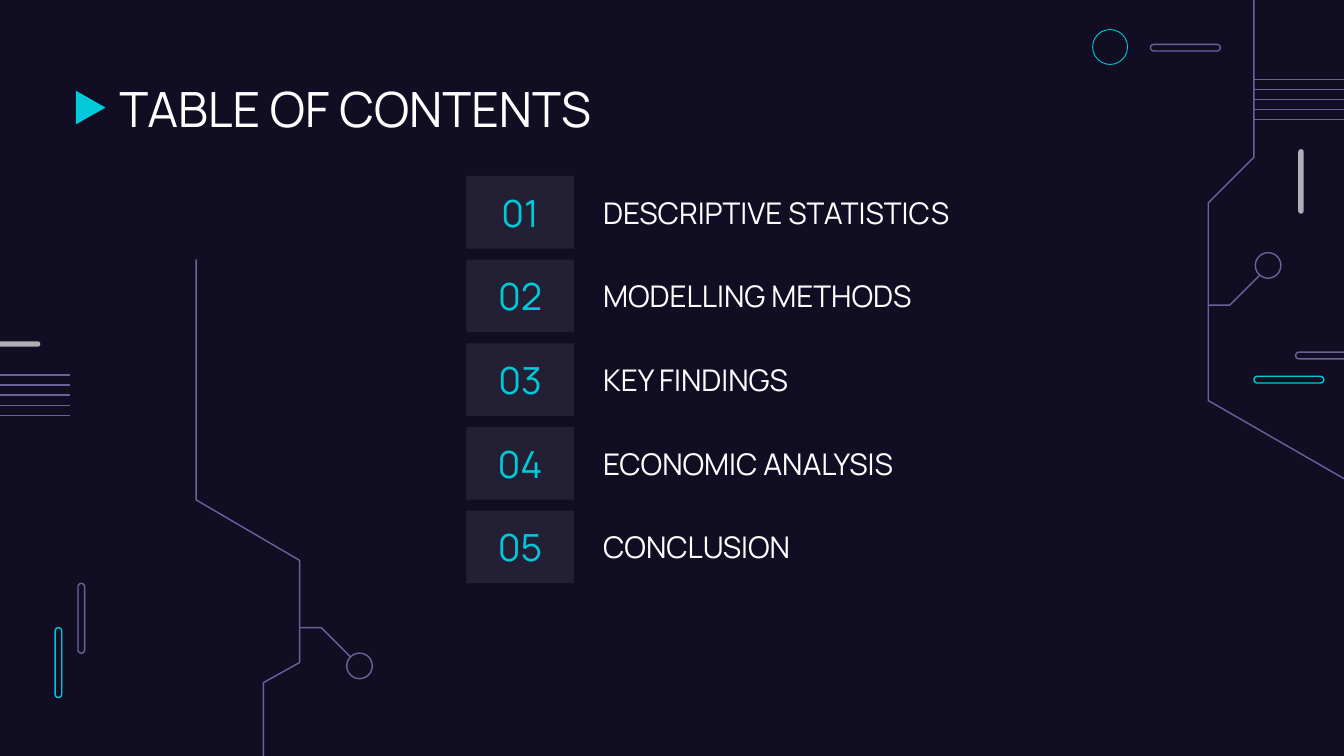
import collections
import dataclasses

import lxml.etree
import pptx
import pptx.dml.color
import pptx.enum.shapes
import pptx.enum.text
import pptx.oxml.ns
import pptx.util

Inches = pptx.util.Inches
Shapes = pptx.enum.shapes.MSO_SHAPE
Box = collections.namedtuple("Box", "left top width height")


@dataclasses.dataclass(frozen=True)
class Theme:
    """Colours, font and sizes of the deck."""
    background: str = "110E24"
    accent: str = "00CADA"
    trace: str = "69639C"
    grey: str = "AFAFB6"
    white: str = "FFFFFF"
    font: str = "Manrope"
    title_size: int = 26
    number_size: int = 20
    topic_size: int = 16
    line_width: float = 0.75
    ring_width: float = 0.47
    tile_opacity: int = 8


THEME = Theme()
TOPICS = ["DESCRIPTIVE STATISTICS", "MODELLING METHODS", "KEY FINDINGS",
          "ECONOMIC ANALYSIS", "CONCLUSION"]


def rgb(colour):
    """Turn a hex string into a colour."""
    return pptx.dml.color.RGBColor.from_string(colour)


def style_shape(shape, fill=None, line=None, width=THEME.line_width):
    """Set fill and outline of a shape and remove its shadow."""
    shape.shadow.inherit = False
    if fill:
        shape.fill.solid()
        shape.fill.fore_color.rgb = rgb(fill)
    else:
        shape.fill.background()
    if line:
        shape.line.color.rgb = rgb(line)
        shape.line.width = pptx.util.Pt(width)
    else:
        shape.line.fill.background()


def add_shape(page, kind, box, **style):
    """Add a styled preset shape."""
    shape = page.shapes.add_shape(kind, *map(Inches, box))
    style_shape(shape, **style)
    return shape


def add_pill(page, box, **style):
    """Add a bar with fully rounded ends."""
    pill = add_shape(page, Shapes.ROUNDED_RECTANGLE, box, **style)
    pill.adjustments[0] = 0.5


def add_trace(page, left, top, points):
    """Add an open outline through points relative to a corner."""
    path_points = [(Inches(left + x), Inches(top + y)) for x, y in points]
    builder = page.shapes.build_freeform(*path_points[0])
    builder.add_line_segments(path_points[1:], close=False)
    style_shape(builder.convert_to_shape(), line=THEME.trace)


def add_branch(page, left, top, direction):
    """Add a side trace ending in a ring, going down (1) or up (-1)."""
    add_trace(page, left, top, [(0, 0), (0.16, 0), (0.38, 0.22 * direction)])
    ring = Box(left + 0.35, top + 0.29 * direction - 0.1, 0.19, 0.19)
    add_shape(page, Shapes.OVAL, ring, line=THEME.trace)


def add_stripes(page, box, count=5):
    """Add evenly spaced horizontal lines filling a box."""
    for index in range(count):
        y = Inches(box.top + index * box.height / (count - 1))
        stripe = page.shapes.add_connector(
            pptx.enum.shapes.MSO_CONNECTOR.STRAIGHT,
            Inches(box.left), y, Inches(box.left + box.width), y)
        stripe.line.color.rgb = rgb(THEME.trace)
        stripe.line.width = pptx.util.Pt(THEME.line_width)
        lxml.etree.SubElement(stripe._element.spPr, pptx.oxml.ns.qn("a:effectLst"))


def set_text(shape, text, size, colour, align="LEFT", anchor="MIDDLE"):
    """Write one formatted paragraph in a shape."""
    frame = shape.text_frame
    frame.text = text
    frame.word_wrap = True
    frame.vertical_anchor = pptx.enum.text.MSO_ANCHOR[anchor]
    frame.margin_left = frame.margin_right = Inches(0.1)
    frame.margin_top = frame.margin_bottom = Inches(0.1)
    para = frame.paragraphs[0]
    para.alignment = pptx.enum.text.PP_ALIGN[align]
    span = para.runs[0]
    span.font.name = THEME.font
    span.font.size = pptx.util.Pt(size)
    span.font.color.rgb = rgb(colour)


def add_right_decoration(page, box):
    """Draw the circuit and its bars on the right side."""
    left, top = box.left, box.top
    add_trace(page, left, top, [(1.13, 3.63), (0, 2.98), (0, 1.51),
                                (0.34, 1.17), (0.34, -0.06)])
    add_branch(page, left, top + 2.27, -1)
    add_stripes(page, Box(left + 0.34, top + 0.59, 1.47, 0.3))
    ring = Box(left - 0.86, top + 0.22, 0.26, 0.26)
    add_shape(page, Shapes.OVAL, ring, line=THEME.accent, width=THEME.ring_width)
    for x, y, colour in [(-0.43, 0.33, THEME.trace), (0.65, 2.62, THEME.trace),
                         (0.34, 2.8, THEME.accent)]:
        add_pill(page, Box(left + x, top + y, 0.52, 0.05), line=colour)
    add_pill(page, Box(left + 0.67, top + 1.11, 0.04, 0.48), fill=THEME.grey)


def add_left_decoration(page, box):
    """Draw the circuit and its bars on the left side."""
    left, top = box.left, box.top
    add_pill(page, Box(left - 0.18, top + 0.61, 0.48, 0.04), fill=THEME.grey)
    add_stripes(page, Box(left - 0.61, top + 0.86, 1.13, 0.3))
    for x, y, colour in [(0.41, 2.74, THEME.accent), (0.58, 2.41, THEME.trace)]:
        add_pill(page, Box(left + x, top + y, 0.05, 0.52), line=colour)
    add_trace(page, left, top, [(1.46, 0), (1.46, 1.79), (2.23, 2.24),
                                (2.23, 3), (1.96, 3.15), (1.96, 3.78)])
    add_branch(page, left + 2.23, top + 2.74, 1)


def add_title(page, box, text):
    """Place the arrow marker and the title."""
    marker = add_shape(page, Shapes.FLOWCHART_MERGE,
                       Box(box.left, box.top + 0.2, 0.25, 0.22), fill=THEME.accent)
    marker.rotation = 270
    title = page.shapes.add_textbox(
        *map(Inches, (box.left + 0.24, box.top, box.width - 0.24, box.height)))
    set_text(title, text, THEME.title_size, THEME.white, anchor="TOP")


def add_contents(page, box, topics):
    """List the topics beside numbered tiles, spread evenly down the box."""
    height = 0.54
    pitch = (box.height - height) / (len(topics) - 1)
    for index, topic in enumerate(topics):
        top = box.top + index * pitch
        tile = add_shape(page, Shapes.RECTANGLE,
                         Box(box.left, top, 0.8, height), fill=THEME.white)
        colour = tile._element.spPr.find(".//" + pptx.oxml.ns.qn("a:srgbClr"))
        alpha = lxml.etree.SubElement(colour, pptx.oxml.ns.qn("a:alpha"))
        alpha.set("val", str(THEME.tile_opacity * 1000))
        set_text(tile, f"{index + 1:02}", THEME.number_size, THEME.accent, "CENTER")
        label = page.shapes.add_textbox(
            *map(Inches, (box.left + 0.92, top, box.width - 0.92, height)))
        set_text(label, topic, THEME.topic_size, THEME.white)


def main():
    """Build and save the deck."""
    deck = pptx.Presentation()
    deck.slide_width = Inches(10)
    deck.slide_height = deck.slide_width * 9 // 16
    page = deck.slides.add_slide(deck.slide_layouts[6])
    page.background.fill.solid()
    page.background.fill.fore_color.rgb = rgb(THEME.background)
    add_right_decoration(page, Box(8.99, 0, 1.01, 3.63))
    add_left_decoration(page, Box(0, 1.93, 2.77, 3.69))
    add_title(page, Box(0.55, 0.49, 8.67, 0.63), "TABLE OF CONTENTS")
    add_contents(page, Box(3.47, 1.31, 3.89, 3.03), TOPICS)
    deck.save("out.pptx")


if __name__ == "__main__":
    main()
